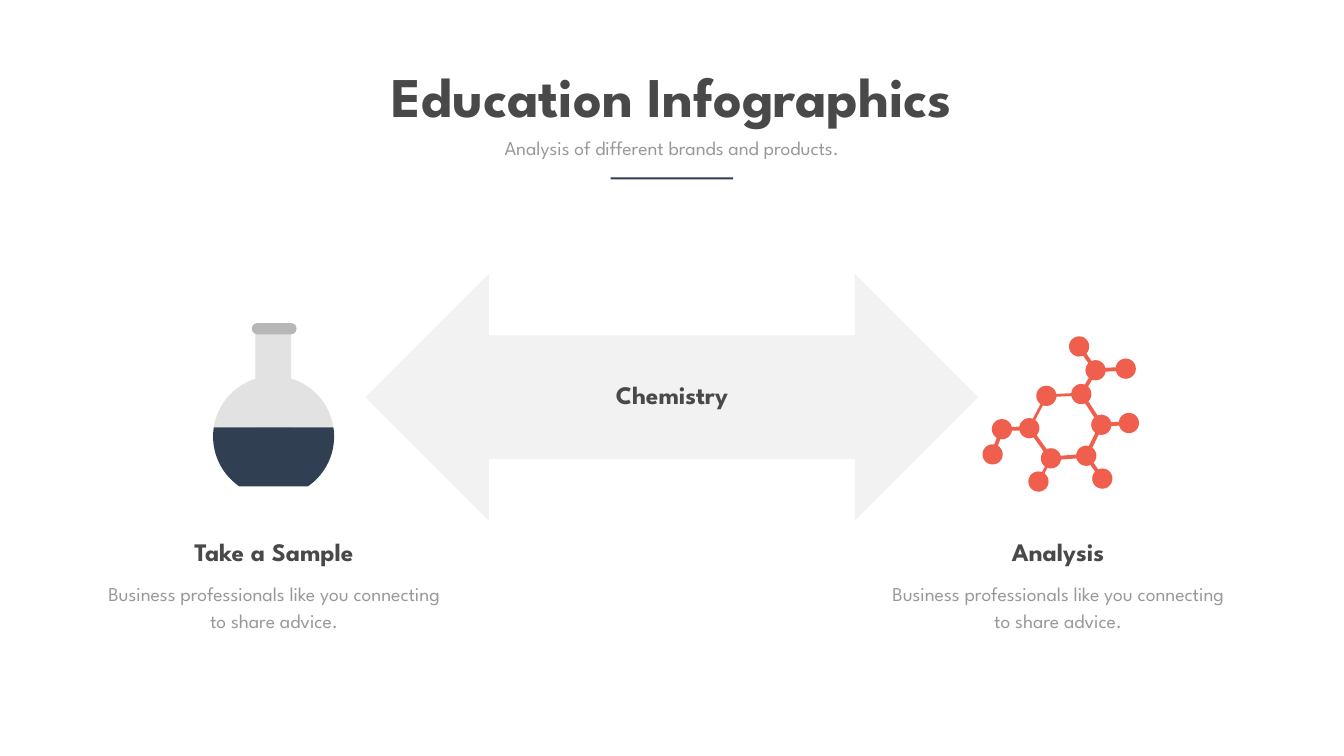
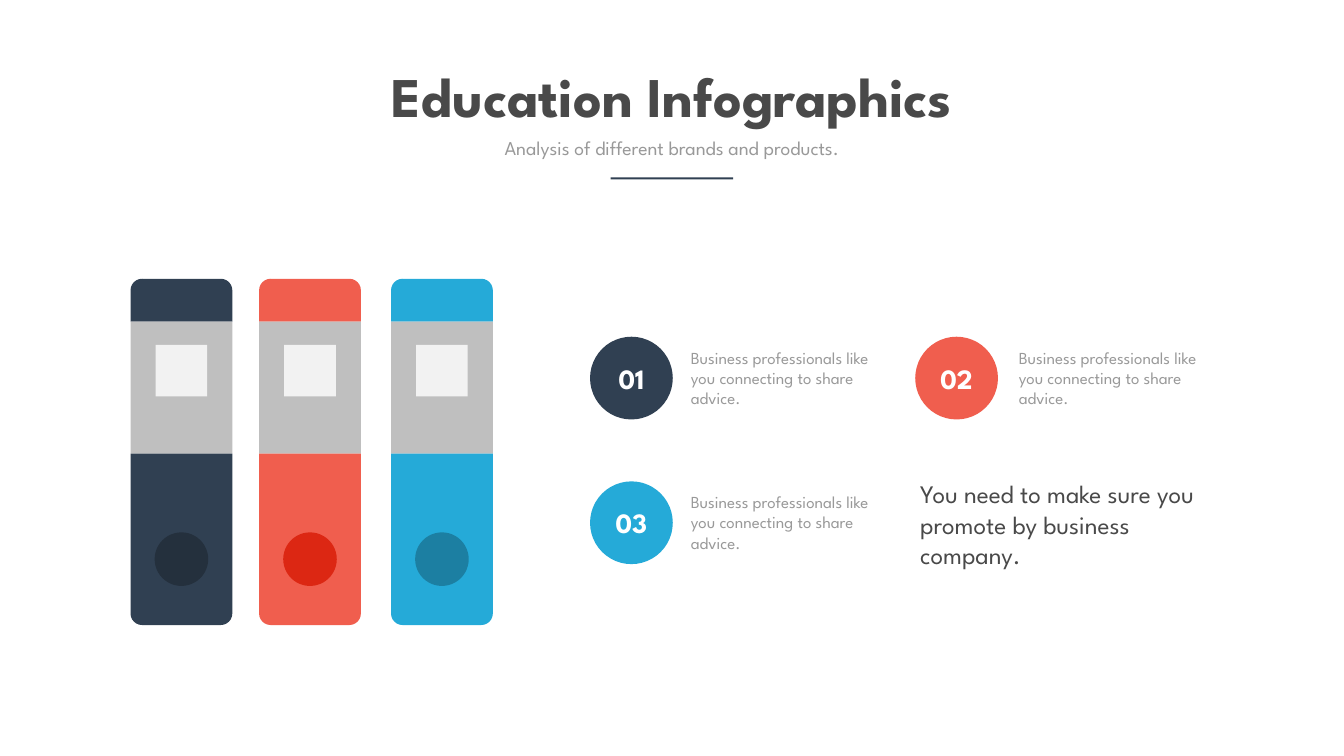
from math import asin, cos, pi, sin

from lxml import etree
from pptx import Presentation
from pptx.dml.color import RGBColor
from pptx.enum.shapes import MSO_CONNECTOR, MSO_SHAPE
from pptx.enum.text import MSO_ANCHOR, PP_ALIGN
from pptx.oxml.ns import qn
from pptx.util import Cm, Pt

RECT = MSO_SHAPE.RECTANGLE
ROUNDED = MSO_SHAPE.ROUNDED_RECTANGLE
ROUND_TOP = MSO_SHAPE.ROUND_2_SAME_RECTANGLE
OVAL = MSO_SHAPE.OVAL
DOUBLE_ARROW = MSO_SHAPE.LEFT_RIGHT_ARROW
STRAIGHT = MSO_CONNECTOR.STRAIGHT
LEFT, CENTER = PP_ALIGN.LEFT, PP_ALIGN.CENTER
MIDDLE = MSO_ANCHOR.MIDDLE

FONT = "League Spartan"
COLORS = {
    "ink": "494949", "muted": "999999", "white": "FFFFFF", "pale": "F2F2F2",
    "navy": "304052", "coral": "F05E4E", "blue": "25AAD8",
    "navy_dark": "24303D", "coral_dark": "DC2713", "blue_dark": "1C7FA2",
    "glass": "E2E2E2", "rim": "B7B7B7", "cover": "BFBFBF",
}
ADVICE = "Business professionals like you connecting to share advice."

ATOMS = [
    (4.86, 0.52), (5.69, 1.72), (7.21, 1.64), (4.97, 2.92), (3.21, 3.01),
    (2.35, 4.64), (3.44, 6.16), (5.22, 6.03), (5.98, 4.47), (7.37, 4.38),
    (0.97, 4.69), (0.5, 5.96), (2.81, 7.33), (6.03, 7.18),
]
THICK_BONDS = [(0, 1), (1, 2), (1, 3), (3, 8), (8, 7), (7, 6), (6, 5),
               (8, 9), (5, 10), (10, 11), (7, 13)]
THIN_BONDS = [(3, 4), (4, 5), (6, 12)]


def rgb(color):
    return RGBColor.from_string(COLORS[color])


def paint(sp, color):
    sp.shadow.inherit = False
    sp.fill.solid()
    sp.fill.fore_color.rgb = rgb(color)
    sp.line.fill.background()
    return sp


def add_block(shapes, kind, x, y, w, h, color):
    return paint(shapes.add_shape(kind, Cm(x), Cm(y), Cm(w), Cm(h)), color)


def write(tf, text, size, color, bold=False, align=CENTER, spacing=None):
    tf.word_wrap = True
    p = tf.paragraphs[0]
    p.text = text
    p.alignment = align
    if spacing:
        p.line_spacing = Pt(spacing)
    p.font.name = FONT
    p.font.size = Pt(size)
    p.font.bold = bold
    p.font.color.rgb = rgb(color)


def add_text(s, x, y, w, h, text, size, color, **style):
    sp = s.shapes.add_textbox(Cm(x), Cm(y), Cm(w), Cm(h))
    write(sp.text_frame, text, size, color, **style)


def add_heading(s):
    add_text(s, 17.7, 2.97, 32.33, 3.68, "Education Infographics", 80, "ink", bold=True)
    add_text(s, 21.72, 6.73, 24.28, 1.45,
             "Analysis of different brands and products.", 28, "muted")
    add_block(s.shapes, RECT, 30.78, 8.94, 6.17, 0.1, "navy")


def add_arc_shape(shapes, cx, cy, radius, angles, color):
    steps = 40
    start, end = angles
    points = []
    for i in range(steps + 1):
        angle = start + (end - start) * i / steps
        points.append((Cm(cx + radius * cos(angle)), Cm(cy + radius * sin(angle))))
    builder = shapes.build_freeform(*points[0])
    builder.add_line_segments(points[1:], close=True)
    paint(builder.convert_to_shape(), color)


def add_flask(s, x, y):
    shapes = s.shapes.add_group_shape().shapes
    add_block(shapes, RECT, x + 2.13, y + 0.13, 1.8, 5.4, "glass")
    rim = add_block(shapes, ROUNDED, x + 1.95, y, 2.26, 0.57, "rim")
    rim.adjustments[0] = 0.5
    radius, cx, cy = 3.05, x + 3.05, y + 5.72
    surface, base = asin(-0.46 / radius), asin(2.51 / radius)
    add_arc_shape(shapes, cx, cy, radius, (surface, -pi - surface), "glass")
    bowl_points = []
    for i in range(21):
        angle = surface + (base - surface) * i / 20
        bowl_points.append((radius * cos(angle), radius * sin(angle)))
    bowl_points += [(-dx, dy) for dx, dy in reversed(bowl_points)]
    outline = [(Cm(cx + dx), Cm(cy + dy)) for dx, dy in bowl_points]
    builder = shapes.build_freeform(*outline[0])
    builder.add_line_segments(outline[1:], close=True)
    paint(builder.convert_to_shape(), "navy")


def add_bond(shapes, x, y, bond, width):
    (x1, y1), (x2, y2) = (ATOMS[i] for i in bond)
    line = shapes.add_connector(STRAIGHT, Cm(x + x1), Cm(y + y1), Cm(x + x2), Cm(y + y2))
    line.line.color.rgb = rgb("coral")
    line.line.width = Pt(width)
    etree.SubElement(line._element.spPr, qn("a:effectLst"))


def add_molecule(s, x, y):
    shapes = s.shapes.add_group_shape().shapes
    for bonds, width in ((THICK_BONDS, 5.5), (THIN_BONDS, 4)):
        for bond in bonds:
            add_bond(shapes, x, y, bond, width)
    size = 1.02
    for dx, dy in ATOMS:
        add_block(shapes, OVAL, x + dx - size / 2, y + dy - size / 2, size, size, "coral")


def add_caption(s, x, y, name):
    add_text(s, x, y + 2.11, 17.4, 3, ADVICE, 28, "muted", spacing=38.6)
    add_text(s, x + 2.49, y, 12.42, 1.8, name, 36, "ink", bold=True)


def add_binder(s, x, y, color):
    shapes = s.shapes.add_group_shape().shapes
    w, top_h, cover_h, bottom_h, corner = 5.13, 2.16, 6.65, 8.64, 0.58
    top = add_block(shapes, ROUND_TOP, x, y, w, top_h, color)
    top.adjustments[0] = corner / top_h
    add_block(shapes, RECT, x, y + top_h, w, cover_h, "cover")
    bottom = add_block(shapes, ROUND_TOP, x, y + top_h + cover_h, w, bottom_h, color)
    bottom.adjustments[0] = 0
    bottom.adjustments[1] = corner / w
    label, hole = 2.6, 2.7
    add_block(shapes, RECT, x + (w - label) / 2, y + 3.33, label, label, "pale")
    add_block(shapes, OVAL, x + (w - hole) / 2, y + 12.78, hole, hole, color + "_dark")


def add_step(s, x, y, gap, number, color):
    size = 4.17
    disc = add_block(s.shapes, OVAL, x, y, size, size, color)
    disc.text_frame.vertical_anchor = MIDDLE
    write(disc.text_frame, number, 40, "white", bold=True)
    add_text(s, x + size + gap, y + 0.41, 10.06, 3.33, ADVICE, 24, "muted", align=LEFT)


def chemistry_slide(prs):
    s = prs.slides.add_slide(prs.slide_layouts[6])
    add_heading(s)
    add_block(s.shapes, DOUBLE_ARROW, 18.42, 13.79, 30.89, 12.45, "pale")
    add_flask(s, 10.74, 16.28)
    add_molecule(s, 49.53, 16.94)
    for x, name in ((5.11, "Take a Sample"), (44.63, "Analysis")):
        add_caption(s, x, 26.92, name)
    add_text(s, 27.66, 18.97, 12.42, 1.8, "Chemistry", 36, "ink", bold=True)


def binders_slide(prs):
    s = prs.slides.add_slide(prs.slide_layouts[6])
    add_heading(s)
    for x, color in ((6.58, "navy"), (13.06, "coral"), (19.71, "blue")):
        add_binder(s, x, 14.05, color)
    left, right, upper, lower = 29.74, 46.13, 16.97, 24.26
    add_step(s, left, upper, 0.66, "01", "navy")
    add_step(s, right, upper, 0.8, "02", "coral")
    add_step(s, left, lower, 0.66, "03", "blue")
    add_text(s, right, 24, 16.15, 4.88,
             "You need to make sure you promote by business company.",
             36, "ink", align=LEFT)


def main():
    prs = Presentation()
    prs.slide_width, prs.slide_height = Cm(67.74), Cm(38.1)
    chemistry_slide(prs)
    binders_slide(prs)
    prs.save("out.pptx")


if __name__ == "__main__":
    main()
